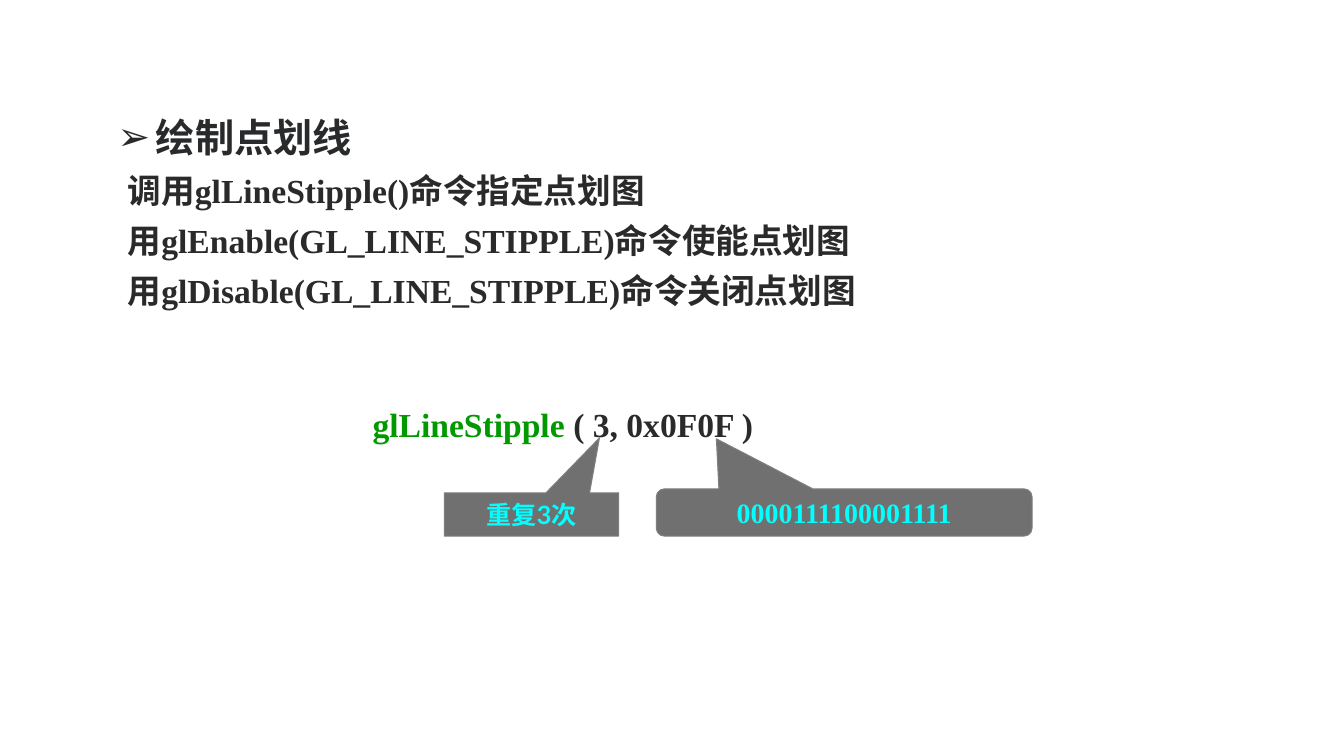
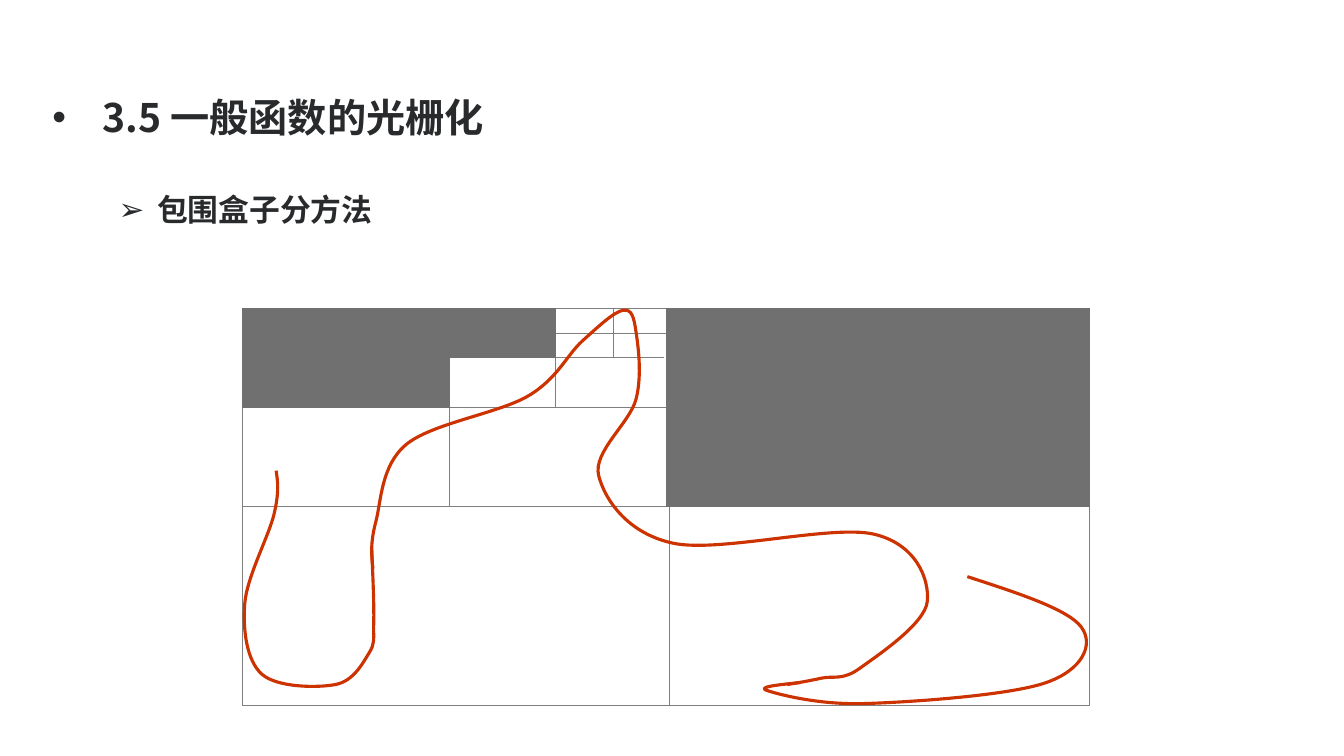
from dataclasses import dataclass
from typing import Any

import pptx
import pptx.chart.data
import pptx.dml.color
import pptx.enum.shapes
import pptx.enum.text
import pptx.oxml
import pptx.oxml.ns
import pptx.util

Cm = pptx.util.Cm
Pt = pptx.util.Pt
qn = pptx.oxml.ns.qn
Kind = pptx.enum.shapes.MSO_SHAPE
Align = pptx.enum.text.PP_ALIGN
Anchor = pptx.enum.text.MSO_ANCHOR
Point = tuple[float, float]


@dataclass(frozen=True)
class Theme:
    head: str = "282A2C"
    body: str = "2A2A2A"
    green: str = "009900"
    cyan: str = "00FFFF"
    gray: str = "707070"
    rule: str = "7F7F7F"
    red: str = "CC3300"
    sans: str = "Noto Sans CJK SC"
    serif: str = "Times New Roman"
    mont: str = "Montserrat"
    lato: str = "Lato"
    big: int = 28
    mid: int = 24
    sub: int = 22
    note: int = 20
    small: int = 18
    thin: float = 0.75
    thick: float = 2.25


THEME = Theme()


@dataclass(frozen=True)
class Box:
    left: float
    top: float
    width: float
    height: float

    def emu(self) -> tuple[Any, ...]:
        return Cm(self.left), Cm(self.top), Cm(self.width), Cm(self.height)


@dataclass(frozen=True)
class Run:
    text: str
    font: str
    color: str


@dataclass(frozen=True)
class Callout:
    box: Box
    kind: Any
    adjust: tuple[float, ...]
    run: Run
    size: int


@dataclass(frozen=True)
class Rule:
    start: Point
    end: Point


CALLS = (
    Callout(Box(16.54, 12.32, 9.47, 1.19), Kind.ROUNDED_RECTANGULAR_CALLOUT,
            (-0.34, -1.56, 0.17),
            Run("0000111100001111", THEME.serif, THEME.cyan), THEME.note),
    Callout(Box(11.2, 12.42, 4.39, 1.09), Kind.RECTANGULAR_CALLOUT,
            (0.39, -1.77), Run("重复3次", THEME.lato, THEME.cyan), THEME.small),
)

STEPS = (
    ("调用", "glLineStipple()", "命令指定点划图"),
    ("用", "glEnable(GL_LINE_STIPPLE)", "命令使能点划图"),
    ("用", "glDisable(GL_LINE_STIPPLE)", "命令关闭点划图"),
)

CURVES: tuple[tuple[Point, ...], ...] = (
    ((9.37, 13.87), (9.42, 15.7), (9.3, 16.46), (8.46, 17.25), (6.6, 16.99),
     (6.17, 15.21), (6.91, 12.95), (6.96, 11.86)),
    ((20.17, 17.2), (19.33, 17.4), (21.77, 17.73), (26.37, 17.2),
     (27.25, 15.8), (24.38, 14.53)),
    ((9.4, 14.33), (9.47, 13.16), (10.24, 11.2), (13.31, 9.98), (14.68, 8.59),
     (15.7, 7.82), (16.03, 8.36), (16.03, 10.06), (15.09, 11.99),
     (16.97, 13.69), (22.02, 13.46), (23.37, 15.16), (21.67, 16.84),
     (20.7, 17.09), (19.84, 17.25)),
)


def rgb(color: str) -> Any:
    return pptx.dml.color.RGBColor.from_string(color)


def write(frame: Any, *runs: Run, size: int, align: Any = Align.LEFT,
          before: float = 0, line: float = 1, left: float = 0,
          indent: float = 0, bullet: str = "") -> None:
    """Fill the empty first paragraph, or add one."""
    para = frame.paragraphs[0]
    if para.runs:
        para = frame.add_paragraph()
    para.alignment = align
    para.space_before = Pt(before)
    para.line_spacing = line
    props = para._p.get_or_add_pPr()
    props.set("marL", str(Cm(left)))
    props.set("indent", str(Cm(indent)))
    if bullet:
        face = props.makeelement(qn("a:buFont"), {"typeface": "Arial"})
        mark = props.makeelement(qn("a:buChar"), {"char": bullet})
        props.extend((face, mark))
    else:
        props.append(props.makeelement(qn("a:buNone"), {}))
    for item in runs:
        run = para.add_run()
        run.text = item.text
        font = run.font
        font.name, font.size, font.bold = item.font, Pt(size), True
        font.color.rgb = rgb(item.color)
        east = pptx.oxml.ns.qn("a:ea")
        node = run._r.rPr.makeelement(east, {"typeface": item.font})
        run._r.rPr.append(node)


def inset(frame: Any, pad: float) -> None:
    frame.word_wrap = True
    frame.margin_left = frame.margin_right = Cm(pad)
    frame.margin_top = frame.margin_bottom = Cm(pad)


def label(slide: Any, box: Box) -> Any:
    frame = slide.shapes.add_textbox(*box.emu()).text_frame
    frame.word_wrap = True
    return frame


def shape(slide: Any, box: Box, kind: Any = Kind.RECTANGLE, fill: str = "",
          line: str = THEME.rule) -> Any:
    item = slide.shapes.add_shape(kind, *box.emu())
    item.shadow.inherit = False
    if fill:
        item.fill.solid()
        item.fill.fore_color.rgb = rgb(fill)
    else:
        item.fill.background()
    item.line.color.rgb = rgb(line)
    item.line.width = Pt(THEME.thin)
    return item


def draw(slide: Any, rule: Rule) -> Any:
    ends = [Cm(value) for value in (*rule.start, *rule.end)]
    line = slide.shapes.add_connector(
        pptx.enum.shapes.MSO_CONNECTOR.STRAIGHT, *ends)
    line.line.color.rgb = rgb(THEME.rule)
    line.line.width = Pt(THEME.thin)
    props = line._element.spPr
    props.append(props.makeelement(qn("a:effectLst"), {}))
    return line


def handles(knots: tuple[Point, ...]) -> list[Point]:
    """Return two control points and an end for each span of a smooth curve."""
    last = len(knots) - 1

    def offset(spot: int, sign: int) -> Point:
        prev, here, after = knots[spot - 1], knots[spot], knots[spot + 1]
        return (here[0] + sign * (after[0] - prev[0]) / 6,
                here[1] + sign * (after[1] - prev[1]) / 6)

    def halfway(one: Point, two: Point) -> Point:
        return (one[0] + two[0]) / 2, (one[1] + two[1]) / 2

    points: list[Point] = []
    for spot in range(last):
        start, end = knots[spot], knots[spot + 1]
        if spot == 0:
            second = offset(1, -1)
            first = halfway(start, second)
        else:
            first = offset(spot, 1)
            second = (offset(spot + 1, -1) if spot + 1 < last
                      else halfway(first, end))
        points += [first, second, end]
    return points


def curve(shapes: Any, knots: tuple[Point, ...]) -> None:
    """Draw a smooth open curve, with each three line ends as one Bézier."""
    pen = shapes.build_freeform(Cm(knots[0][0]), Cm(knots[0][1]))
    pen.add_line_segments([(Cm(x), Cm(y)) for x, y in handles(knots)],
                          close=False)
    item = pen.convert_to_shape()
    item.shadow.inherit = False
    item.fill.background()
    item.line.color.rgb = rgb(THEME.red)
    item.line.width = Pt(THEME.thick)
    lines = list(item._element.iter(qn("a:lnTo")))
    for spot in range(0, len(lines), 3):
        trio = lines[spot:spot + 3]
        bend = trio[0].makeelement(qn("a:cubicBezTo"), {})
        trio[0].addprevious(bend)
        for node in trio:
            bend.append(node[0])
            node.getparent().remove(node)


def stipple(deck: Any) -> None:
    slide = deck.slides.add_slide(deck.slide_layouts[6])
    frame = label(slide, Box(1.7, 2.36, 30.3, 6.27))
    inset(frame, 0.25)
    write(frame, Run("绘制点划线", THEME.sans, THEME.head), size=THEME.big,
          before=6, line=1.2, left=1.98, indent=-0.97, bullet="➢")
    for verb, call, rest in STEPS:
        write(frame, Run(verb, THEME.mont, THEME.body),
              Run(call, THEME.serif, THEME.body),
              Run(rest, THEME.mont, THEME.body),
              size=THEME.mid, before=10, line=0.9, indent=1.27)
    write(label(slide, Box(9.14, 10.06, 13.46, 1.27)),
          Run("glLineStipple ", THEME.serif, THEME.green),
          Run("( 3, 0x0F0F )", THEME.serif, THEME.body), size=THEME.mid)
    for call in CALLS:
        item = shape(slide, call.box, call.kind, THEME.gray)
        for spot, value in enumerate(call.adjust):
            item.adjustments[spot] = value
        item.text_frame.vertical_anchor = Anchor.MIDDLE
        write(item.text_frame, call.run, size=call.size, align=Align.CENTER)


def boxes(deck: Any) -> None:
    slide = deck.slides.add_slide(deck.slide_layouts[5])
    title = slide.shapes.title
    title.left, title.top, title.width, title.height = Box(
        1.19, 1.04, 30.48, 3.81).emu()
    inset(title.text_frame, 0.13)
    title.text_frame.vertical_anchor = Anchor.MIDDLE
    write(title.text_frame, Run("3.5 一般函数的光栅化", THEME.sans, THEME.head),
          size=THEME.big, before=6, left=1.27, indent=-1.27, bullet="•")
    write(label(slide, Box(1.73, 4.5, 30.43, 1.85)),
          Run("包围盒子分方法", THEME.sans, THEME.head), size=THEME.sub,
          before=6, line=1.2, left=1.98, indent=-0.97, bullet="➢")

    area = Box(6.12, 7.77, 21.34, 10)
    left, top = area.left, area.top
    right, base = left + area.width, top + area.height
    half, fourth, eighth, tiny = (top + area.height / 2 ** n
                                  for n in range(1, 5))
    mid, quart, inner, fine = 16.81, 11.33, 14.0, 15.47

    frame = shape(slide, area)
    across = draw(slide, Rule((left, half), (right, half)))
    across.begin_connect(frame, 1)
    across.end_connect(frame, 3)
    for rule in (
        Rule((16.87, top), (16.87, base)),
        Rule((left, fourth), (mid, fourth)),
        Rule((quart, top), (quart, half)),
        Rule((quart, eighth), (16.74, eighth)),
        Rule((inner, top), (inner, fourth)),
        Rule((inner, tiny), (mid, tiny)),
        Rule((fine, top), (fine, eighth)),
    ):
        draw(slide, rule)
    for tile in (
        Box(mid, top, right - mid, half - top),
        Box(left, top, quart - left, fourth - top),
        Box(quart, top, inner - quart, eighth - top),
    ):
        shape(slide, tile, fill=THEME.gray, line=THEME.gray)
    group = slide.shapes.add_group_shape()
    for knots in CURVES:
        curve(group.shapes, knots)


def main() -> None:
    deck = pptx.Presentation()
    deck.slide_width, deck.slide_height = Cm(33.87), Cm(19.05)
    stipple(deck)
    boxes(deck)
    deck.save("out.pptx")


if __name__ == "__main__":
    main()
